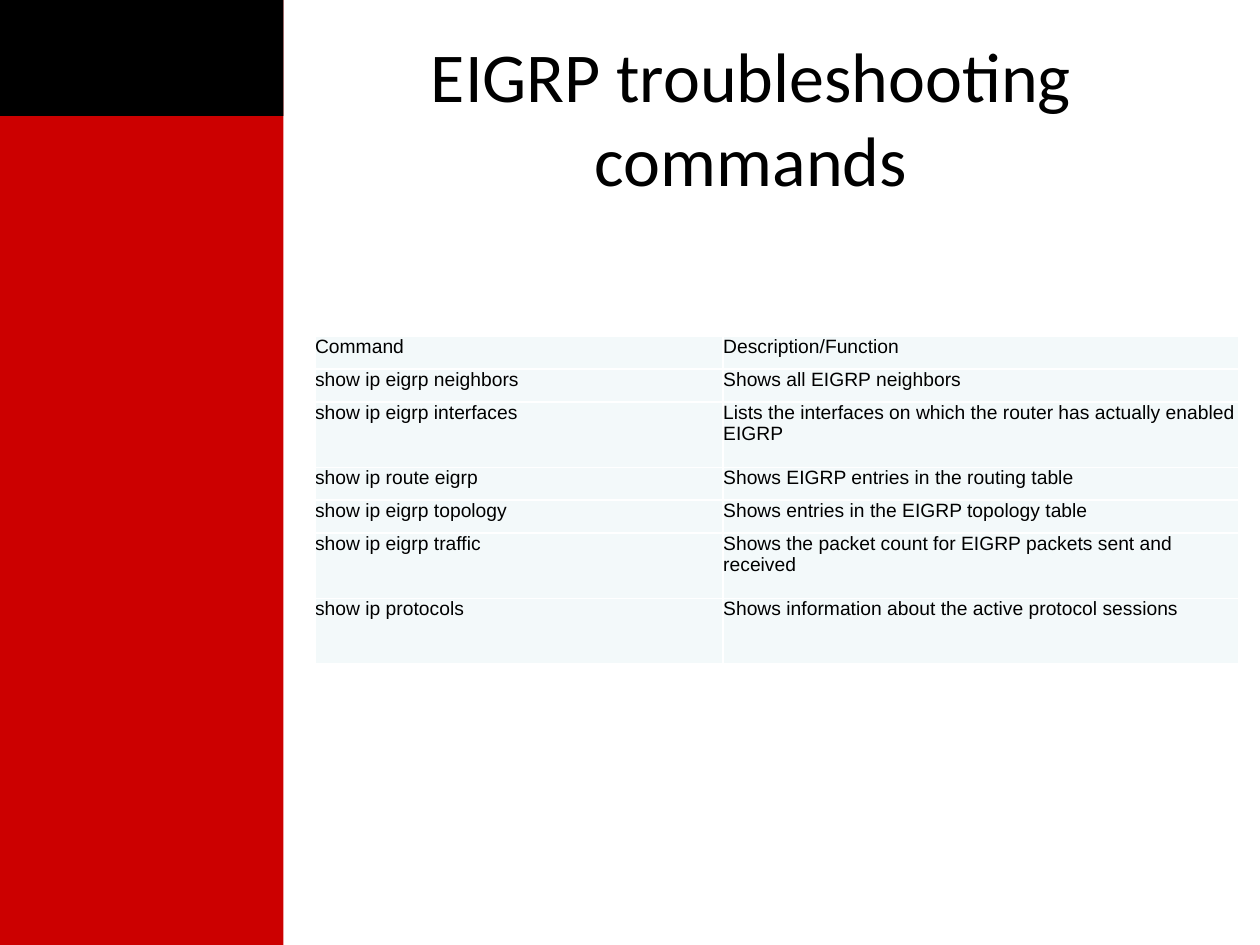
from lxml import etree
from pptx import Presentation
from pptx.dml.color import RGBColor
from pptx.enum.shapes import MSO_SHAPE
from pptx.enum.text import MSO_ANCHOR, MSO_AUTO_SIZE, PP_ALIGN
from pptx.oxml.ns import qn
from pptx.util import Inches, Pt

RECT = MSO_SHAPE.RECTANGLE
LEFT, CENTER = PP_ALIGN.LEFT, PP_ALIGN.CENTER
TOP, MIDDLE = MSO_ANCHOR.TOP, MSO_ANCHOR.MIDDLE

THEME = {
    "red": "CC0000",
    "black": "000000",
    "cell": "F3F9FA",
    "border": "FFFFFF",
    "title_font": "Calibri",
    "body_font": "Arial",
    "title_size": 40,
    "body_size": 11,
}


def write_text(tf, text, font, size, color=THEME["black"], align=LEFT, after=0):
    p = tf.paragraphs[0]
    p.alignment = align
    p.space_before = Pt(0)
    p.space_after = Pt(after)
    r = p.add_run()
    r.text = text
    r.font.name = font
    r.font.size = Pt(size)
    r.font.bold = False
    r.font.color.rgb = RGBColor.from_string(color)


def add_borders(cell, color, width):
    tc_pr = cell._tc.get_or_add_tcPr()
    for side in ("a:lnL", "a:lnR", "a:lnT", "a:lnB"):
        ln = etree.SubElement(tc_pr, qn(side), w=str(Pt(width)))
        fill = etree.SubElement(ln, qn("a:solidFill"))
        etree.SubElement(fill, qn("a:srgbClr"), val=color)


prs = Presentation()
prs.slide_width = Inches(10)
prs.slide_height = Inches(7.5)
s = prs.slides.add_slide(prs.slide_layouts[5])

for height, color in ((7.5, THEME["red"]), (0.92, THEME["black"])):
    sp = s.shapes.add_shape(RECT, 0, 0, Inches(2.25), Inches(height))
    sp.shadow.inherit = False
    sp.fill.solid()
    sp.fill.fore_color.rgb = RGBColor.from_string(color)
    sp.line.fill.background()

title = s.shapes.title
title.left, title.top = Inches(2.42), Inches(0.3)
title.width, title.height = Inches(7.08), Inches(1.25)
tf = title.text_frame
tf.word_wrap = True
tf.auto_size = MSO_AUTO_SIZE.NONE
tf.vertical_anchor = MIDDLE
write_text(tf, "EIGRP troubleshooting commands", THEME["title_font"],
           THEME["title_size"], align=CENTER)

COL_WIDTHS = (3.24, 4.09)
LINE_HEIGHT = 0.26
ROWS = (
    (1, "Command", "Description/Function"),
    (1, "show ip eigrp neighbors", "Shows all EIGRP neighbors"),
    (2, "show ip eigrp interfaces",
     "Lists the interfaces on which the router has actually enabled EIGRP"),
    (1, "show ip route eigrp", "Shows EIGRP entries in the routing table"),
    (1, "show ip eigrp topology", "Shows entries in the EIGRP topology table"),
    (2, "show ip eigrp traffic",
     "Shows the packet count for EIGRP packets sent and received"),
    (2, "show ip protocols",
     "Shows information about the active protocol sessions"),
)

table_height = LINE_HEIGHT * sum(row[0] for row in ROWS)
table = s.shapes.add_table(len(ROWS), len(COL_WIDTHS), Inches(2.5), Inches(2.67),
                           Inches(sum(COL_WIDTHS)), Inches(table_height)).table
table.first_row = False
table.horz_banding = False
for column, width in zip(table.columns, COL_WIDTHS):
    column.width = Inches(width)

for i, (lines, *texts) in enumerate(ROWS):
    table.rows[i].height = Inches(LINE_HEIGHT * lines)
    for j, text in enumerate(texts):
        cell = table.cell(i, j)
        cell.margin_left = cell.margin_right = 0
        cell.margin_top = cell.margin_bottom = 0
        cell.vertical_anchor = TOP
        add_borders(cell, THEME["border"], 1)
        cell.fill.solid()
        cell.fill.fore_color.rgb = RGBColor.from_string(THEME["cell"])
        write_text(cell.text_frame, text, THEME["body_font"],
                   THEME["body_size"], after=3 if i else 0)

prs.save("out.pptx")
